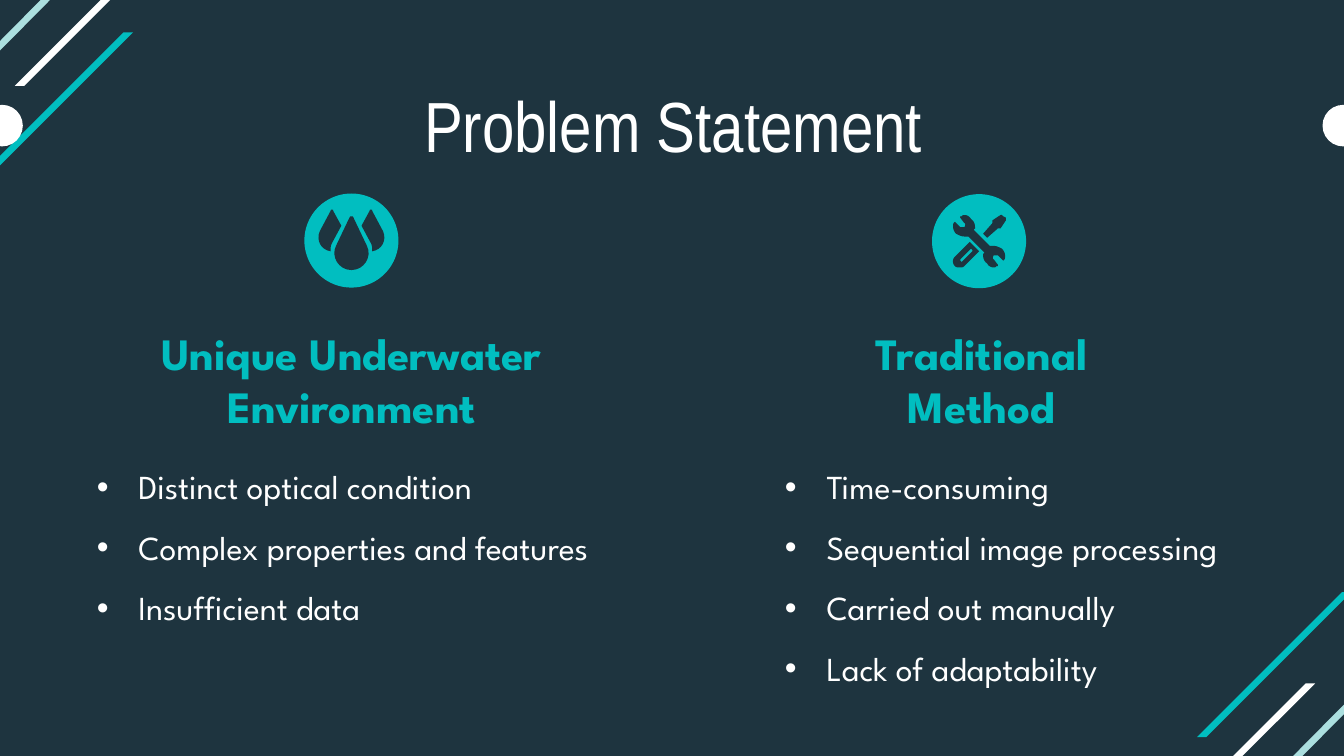
from dataclasses import dataclass

from lxml import etree
from pptx import Presentation
from pptx.dml.color import RGBColor
from pptx.enum.shapes import MSO_SHAPE
from pptx.enum.text import MSO_ANCHOR, MSO_AUTO_SIZE, PP_ALIGN
from pptx.oxml.ns import qn
from pptx.util import Inches, Pt

OVAL = MSO_SHAPE.OVAL
TOP = MSO_ANCHOR.TOP
NO_FIT = MSO_AUTO_SIZE.NONE
LEFT, CENTER = PP_ALIGN.LEFT, PP_ALIGN.CENTER


@dataclass
class Theme:
    night: str = "1E343F"
    teal: str = "01BEC0"
    mist: str = "ABDFDF"
    white: str = "FFFFFF"
    title_font: str = "Arial Narrow"
    body_font: str = "League Spartan"
    title_size: int = 38
    heading_size: int = 24
    list_size: int = 18


theme = Theme()
COLUMNS, ROWS = 1000, 562.5
CELL = Inches(10) // COLUMNS
CURVE_STEPS = 8

deck = Presentation()
deck.slide_width = COLUMNS * CELL
deck.slide_height = int(ROWS * CELL)
comparison_layout = deck.slide_layouts[4]
page = deck.slides.add_slide(comparison_layout)
page.background.fill.solid()
page.background.fill.fore_color.rgb = RGBColor.from_string(theme.night)


def paint(shape, colour):
    shape.shadow.inherit = False
    shape.fill.solid()
    shape.fill.fore_color.rgb = RGBColor.from_string(colour)
    shape.line.fill.background()


def draw_outline(origin, contours, colour):
    builder = None
    for contour in contours:
        points = [contour[0]]
        for segment in contour[1:]:
            if len(segment) == 2:
                points.append(segment)
                continue
            x0, y0 = points[-1]
            x1, y1, x2, y2, x3, y3 = segment
            for step in range(1, CURVE_STEPS + 1):
                t = step / CURVE_STEPS
                a, b, c, d = (1 - t) ** 3, 3 * t * (1 - t) ** 2, 3 * t * t * (1 - t), t ** 3
                points.append((a * x0 + b * x1 + c * x2 + d * x3,
                               a * y0 + b * y1 + c * y2 + d * y3))
        corners = [((origin[0] + x) * CELL, (origin[1] + y) * CELL) for x, y in points]
        if builder is None:
            builder = page.shapes.build_freeform(*corners[0])
        else:
            builder.move_to(*corners[0])
        builder.add_line_segments(corners[1:], close=True)
    paint(builder.convert_to_shape(), colour)


STRIPE_THICKNESS = 7
MIRROR_X, MIRROR_Y = 989.5, 572.5
stripes = [
    (-16, 24, 115, 108, theme.teal),
    (-39, -21, 97, 91, theme.mist),
    (11, -44, 115, 108, theme.white),
]
for left, top, width, height, colour in stripes:
    stripe = [(width - STRIPE_THICKNESS, 0), (0, height), (STRIPE_THICKNESS, height), (width, 0)]
    opposite = (MIRROR_X - left - width, MIRROR_Y - top - height)
    for origin in ((left, top), opposite):
        draw_outline(origin, [stripe], colour)

discs = [
    (1.5, 93.5, 15.5, theme.white),
    (999.5, 93.5, 15.5, theme.white),
    (261.5, 179, 35, theme.teal),
    (728.5, 179.5, 35, theme.teal),
]
for x, y, radius, colour in discs:
    disc = page.shapes.add_shape(OVAL, *(int(n * CELL) for n in (
        x - radius, y - radius, 2 * radius, 2 * radius)))
    paint(disc, colour)

middle_drop = [
    (0, -18), (-1, -18, -1, -18, -1.5, -17), (-11.5, 4),
    (-15.5, 12, -9.5, 22, 0, 22), (9.5, 22, 15.5, 12, 11.5, 4),
    (1.5, -17), (1, -18, 1, -18, 0, -18),
]
right_drop = [
    (14.5, -23), (14, -23, 13.5, -23, 13.5, -22), (7.5, -11), (14.5, 2),
    (15.5, 4, 15.5, 6, 15.5, 8), (22.5, 7, 26.5, 0, 23.5, -7),
    (15.5, -22), (15.5, -23, 15, -23, 14.5, -23),
]
left_drop = [tuple(-n if i % 2 == 0 else n for i, n in enumerate(segment))
             for segment in right_drop]
wrench_head = [
    (-4, -8.5), (-3, -9.5), (-3, -11.5, -3, -14.5, -6, -16.5),
    (-7, -18.5, -9, -19.5, -11, -19.5), (-12, -19.5, -12, -19.5, -13, -18.5),
    (-14, -18.5), (-14, -17.5), (-11, -13.5), (-10, -13.5, -10, -11.5, -11, -10.5),
    (-12, -10.5), (-14, -10.5), (-17, -13.5), (-18, -14.5), (-19, -13.5),
    (-20, -10.5, -19, -7.5, -17, -5.5), (-15, -4.5, -13, -3.5, -11, -3.5),
    (-8, -3.5),
]
wrench = wrench_head + [tuple(-n for n in segment) for segment in wrench_head]
handle = [
    (-7, 0.5), (-18, 11.5), (-20, 13.5, -20, 16.5, -18, 18.5),
    (-17, 19.5, -16, 19.5, -14, 19.5), (-13, 19.5, -12, 19.5, -11, 18.5), (0, 7.5),
]
handle_slot = [(-6, 5.5), (-5, 6.5), (-5, 7.5), (-12, 14.5), (-13, 15.5),
               (-14, 14.5), (-14, 13.5), (-7, 6.5)]
screwdriver = [(17, -19.5), (16, -19.5), (10, -15.5), (10, -13.5), (3, -5.5), (6, -2.5),
               (14, -9.5), (16, -9.5), (20, -15.5), (20, -17.5), (18, -18.5)]
icons = [
    ((261.5, 179), [[middle_drop], [right_drop], [left_drop]]),
    ((728.5, 179.5), [[wrench], [handle, handle_slot], [screwdriver]]),
]
for centre, parts in icons:
    for part in parts:
        draw_outline(centre, part, theme.night)

title_style = (theme.title_font, theme.title_size, theme.white, False, CENTER, 5)
heading_style = (theme.body_font, theme.heading_size, theme.teal, True, CENTER, 10)
list_style = (theme.body_font, theme.list_size, theme.white, False, LEFT, 10)
texts = [
    (0, (277, 56, 448, 74), title_style, [["Problem Statement"]]),
    (1, (90, 232, 343, 98), heading_style, [["Unique Underwater", "Environment"]]),
    (3, (596, 232, 269, 104), heading_style, [["Traditional Method"]]),
    (2, (62, 322, 429, 152), list_style, [
        ["Distinct optical condition"],
        ["Complex properties and features"],
        ["Insufficient data"],
    ]),
    (4, (574, 322, 406, 208), list_style, [
        ["Time-consuming"],
        ["Sequential image processing"],
        ["Carried out manually"],
        ["Lack of adaptability"],
    ]),
]
placeholders = {box.placeholder_format.idx: box for box in page.placeholders}
for idx, area, style, paragraphs in texts:
    font, size, colour, bold, alignment, inset = style
    box = placeholders[idx]
    box.left, box.top, box.width, box.height = (n * CELL for n in area)
    frame = box.text_frame
    frame.word_wrap = True
    frame.auto_size = NO_FIT
    frame.vertical_anchor = TOP
    frame.margin_left = frame.margin_right = 10 * CELL
    frame.margin_top = frame.margin_bottom = inset * CELL
    for number, lines in enumerate(paragraphs):
        para = frame.add_paragraph() if number else frame.paragraphs[0]
        para.alignment = alignment
        para.line_spacing = 1.5 if style is list_style else 1.0
        para.space_before = Pt(0)
        if style is list_style:
            properties = para._p.get_or_add_pPr()
            properties.set("marL", str(31 * CELL))
            properties.set("indent", str(-31 * CELL))
            bullet_colour = etree.SubElement(properties, qn("a:buClr"))
            etree.SubElement(bullet_colour, qn("a:srgbClr"), val=colour)
            etree.SubElement(properties, qn("a:buChar"), char="•")
        for line_number, line in enumerate(lines):
            if line_number:
                para.add_line_break()
            span = para.add_run()
            span.text = line
            span.font.name = font
            span.font.size = Pt(size)
            span.font.bold = bold
            span.font.color.rgb = RGBColor.from_string(colour)

deck.save("out.pptx")
